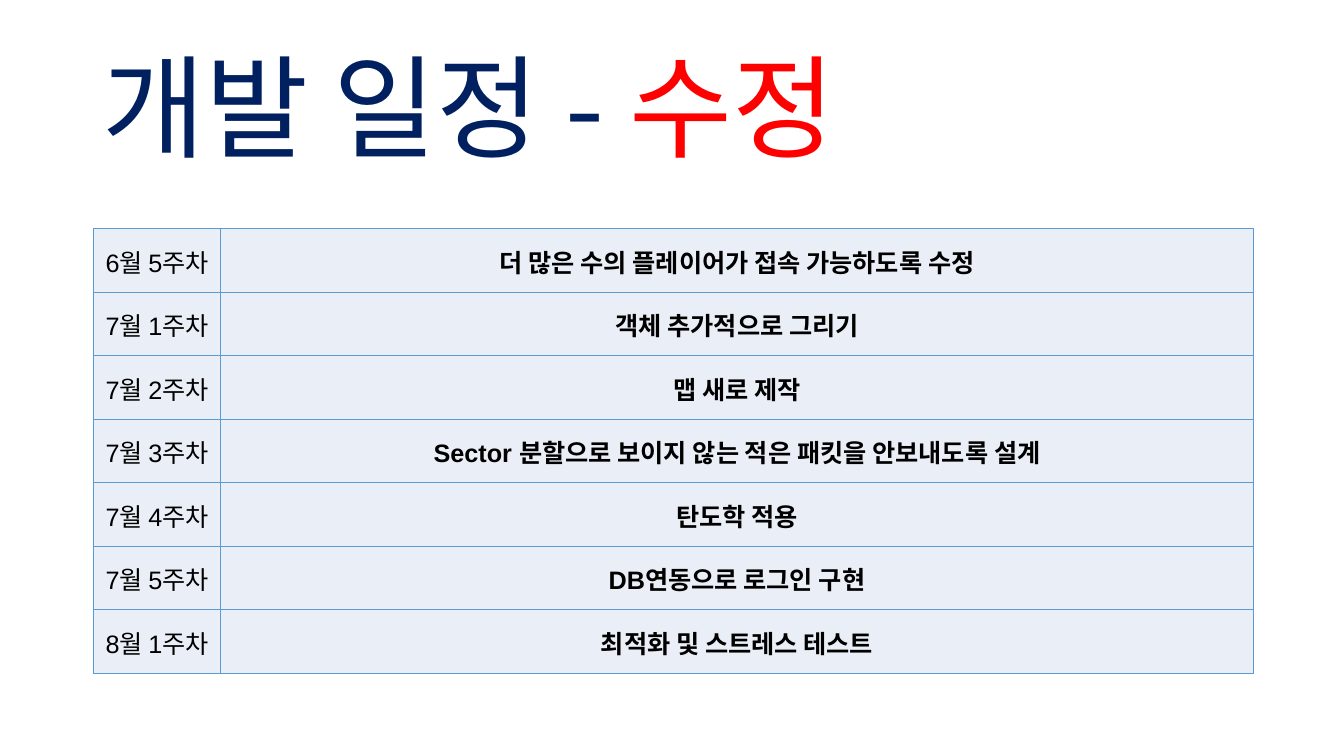
from lxml import etree
from pptx import Presentation, util as u
from pptx.dml.color import RGBColor
from pptx.enum import text
from pptx.oxml.ns import qn

TITLE = [("개발 일정 - ", "navy"), ("수정", "red")]
SCHEDULE = [
    ("6월 5주차", "더 많은 수의 플레이어가 접속 가능하도록 수정"),
    ("7월 1주차", "객체 추가적으로 그리기"),
    ("7월 2주차", "맵 새로 제작"),
    ("7월 3주차", "Sector 분할으로 보이지 않는 적은 패킷을 안보내도록 설계"),
    ("7월 4주차", "탄도학 적용"),
    ("7월 5주차", "DB연동으로 로그인 구현"),
    ("8월 1주차", "최적화 및 스트레스 테스트"),
]
COLORS = {"navy": "002060", "red": "FF0000", "black": "000000",
          "cell": "EAEFF7", "border": "5B9BD5"}
KOREAN = "Noto Sans CJK KR"
COL_WIDTHS = (1.26, 10.24)
ROW_HEIGHT = 0.63


def rgb(name):
    return RGBColor.from_string(COLORS[name])


def add_run(p, words, size, font=KOREAN, color="black", bold=False):
    r = p.add_run()
    r.text = words
    r.font.size = u.Pt(size)
    r.font.bold = bold
    r.font.color.rgb = rgb(color)
    r.font.name = font
    etree.SubElement(r.font._element, qn("a:ea"), typeface=KOREAN)


def add_borders(cell, color="border", width=1):
    """Outline all four sides; border elements must precede the cell fill."""
    tcPr = cell._tc.get_or_add_tcPr()
    for i, side in enumerate(("a:lnL", "a:lnR", "a:lnT", "a:lnB")):
        ln = etree.Element(qn(side), w=str(u.Pt(width)))
        fill = etree.SubElement(ln, qn("a:solidFill"))
        etree.SubElement(fill, qn("a:srgbClr"), val=COLORS[color])
        tcPr.insert(i, ln)


def add_title(s):
    tf = s.shapes.add_textbox(u.Inches(0.92), u.Inches(0.4),
                              u.Inches(11.5), u.Inches(1.45)).text_frame
    tf.word_wrap = True
    tf.vertical_anchor = text.MSO_ANCHOR.MIDDLE
    p = tf.paragraphs[0]
    p.line_spacing = 0.9
    for words, color in TITLE:
        add_run(p, words, 80, color=color)


def add_schedule(s):
    table = s.shapes.add_table(
        len(SCHEDULE), len(COL_WIDTHS), u.Inches(0.93), u.Inches(2.27),
        u.Inches(sum(COL_WIDTHS)), u.Inches(ROW_HEIGHT * len(SCHEDULE))).table
    table.first_row = table.horz_banding = False
    for column, width in zip(table.columns, COL_WIDTHS):
        column.width = u.Inches(width)
    for i, entry in enumerate(SCHEDULE):
        table.rows[i].height = u.Inches(ROW_HEIGHT)
        for j, words in enumerate(entry):
            cell = table.cell(i, j)
            cell.margin_left = cell.margin_right = cell.margin_top = u.Inches(0.01)
            cell.margin_bottom = 0
            cell.vertical_anchor = text.MSO_ANCHOR.MIDDLE
            cell.fill.solid()
            cell.fill.fore_color.rgb = rgb("cell")
            add_borders(cell)
            p = cell.text_frame.paragraphs[0]
            p.alignment = text.PP_ALIGN.CENTER
            add_run(p, words, 18, font="Arial", bold=j == 1)


def main():
    prs = Presentation()
    prs.slide_width, prs.slide_height = u.Inches(13.33), u.Inches(7.5)
    s = prs.slides.add_slide(prs.slide_layouts[6])
    add_title(s)
    add_schedule(s)
    prs.save("out.pptx")


if __name__ == "__main__":
    main()
